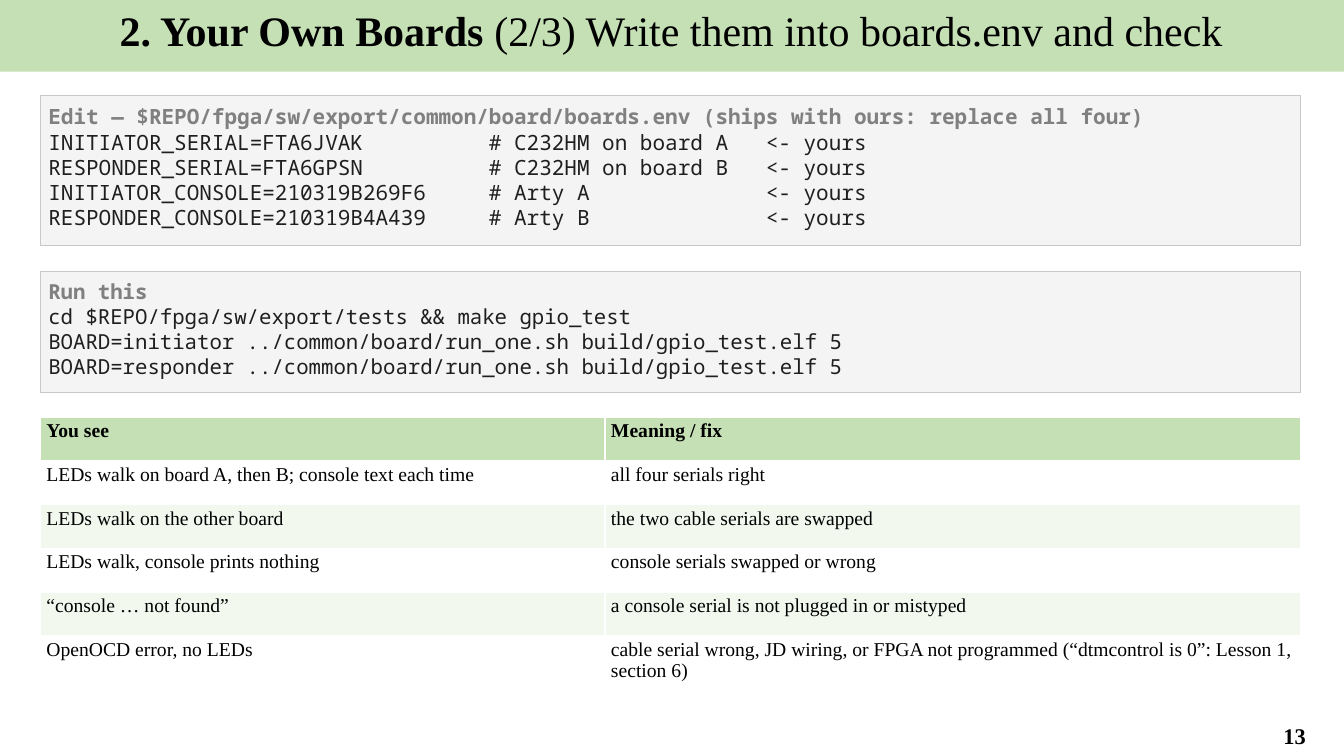
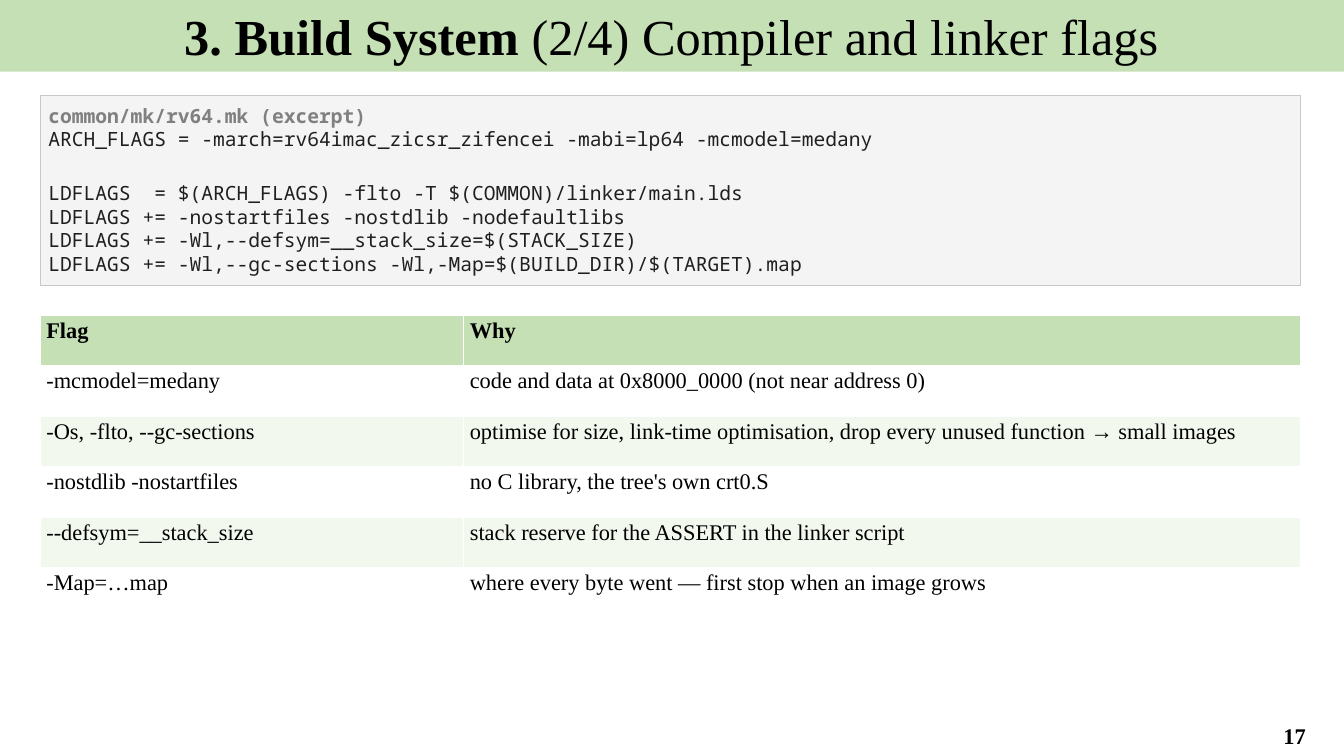
from dataclasses import dataclass

from pptx import Presentation
from pptx.dml.color import RGBColor
from pptx.enum.shapes import MSO_SHAPE
from pptx.enum.text import MSO_ANCHOR, PP_ALIGN
from pptx.util import Inches, Pt

RECTANGLE = MSO_SHAPE.RECTANGLE
TOP, MIDDLE = MSO_ANCHOR.TOP, MSO_ANCHOR.MIDDLE
LEFT, CENTER = PP_ALIGN.LEFT, PP_ALIGN.CENTER


@dataclass(frozen=True)
class Theme:
    """Colours, fonts, type sizes and shared margins."""
    green: str = "C5E0B4"
    pale_green: str = "F2F8EE"
    white: str = "FFFFFF"
    black: str = "000000"
    code_fill: str = "F4F4F4"
    code_line: str = "C8C8C8"
    code_heading: str = "808080"
    code_text: str = "1F1F1F"
    serif: str = "Times New Roman"
    mono: str = "Noto Sans Mono"
    page_size: float = 16
    code_gap: float = 21.6
    left: float = 0.4
    width: float = 12.5


class Lesson:
    def __init__(self, theme):
        self.theme = theme
        self.deck = Presentation()
        self.deck.slide_width = Inches(13.33)
        self.deck.slide_height = Inches(7.5)
        self.page = None

    # Shared helpers
    def style(self, span, size, name, color, bold=False):
        span.font.size = Pt(size)
        span.font.name = name
        span.font.color.rgb = RGBColor.from_string(color)
        span.font.bold = bold

    def paint(self, item, color):
        item.fill.solid()
        item.fill.fore_color.rgb = RGBColor.from_string(color)

    def panel(self, left, top, width, height, color):
        box = self.page.shapes.add_shape(
            RECTANGLE, Inches(left), Inches(top), Inches(width), Inches(height))
        box.shadow.inherit = False
        self.paint(box, color)
        box.text_frame.vertical_anchor = TOP
        return box

    # Slide with its title band and page number
    def add_page(self, section, topic, title_size, number):
        theme = self.theme
        self.page = self.deck.slides.add_slide(self.deck.slide_layouts[6])
        band = self.panel(-0.01, 0, 13.34, 0.71, theme.green)
        band.line.fill.background()
        band.text_frame.word_wrap = True
        para = band.text_frame.paragraphs[0]
        para.alignment = CENTER
        for text, bold in ((section + " ", True), (topic, False)):
            span = para.add_run()
            span.text = text
            self.style(span, title_size, theme.serif, theme.black, bold)

        box = self.page.shapes.add_textbox(
            Inches(12.35), Inches(7.1), Inches(0.98), Inches(0.39))
        box.text_frame.word_wrap = True
        box.text_frame.vertical_anchor = MIDDLE
        box.text_frame.text = str(number)
        para = box.text_frame.paragraphs[0]
        para.alignment = CENTER
        self.style(para.runs[0], theme.page_size, theme.serif, theme.black, True)

    # Code panel: a heading, then groups of lines set apart by a gap
    def add_code(self, top, height, size, heading, *groups):
        theme = self.theme
        box = self.panel(theme.left, top, theme.width, height, theme.code_fill)
        box.line.color.rgb = RGBColor.from_string(theme.code_line)
        box.line.width = Pt(0.75)
        frame = box.text_frame
        frame.word_wrap = False
        frame.margin_left = frame.margin_right = Inches(0.08)
        frame.margin_top = frame.margin_bottom = Inches(0.08)
        blocks = [group.strip().splitlines() for group in groups]
        frame.text = "\n".join([heading] + sum(blocks, []))
        for index, para in enumerate(frame.paragraphs):
            para.alignment = LEFT
            color = theme.code_text if index else theme.code_heading
            self.style(para.runs[0], size, theme.mono, color, index == 0)
        start = 1
        for block in blocks[:-1]:
            start += len(block)
            frame.paragraphs[start].space_before = Pt(theme.code_gap)

    # Two-column table with a green header and striped rows
    def add_table(self, top, height, first_width, size, rows):
        theme = self.theme
        table = self.page.shapes.add_table(
            len(rows), 2, Inches(theme.left), Inches(top),
            Inches(theme.width), Inches(height)).table
        table.horz_banding = False
        table.columns[0].width = Inches(first_width)
        table.columns[1].width = Inches(theme.width - first_width)
        for index, texts in enumerate(rows):
            stripe = theme.white if index % 2 else theme.pale_green
            for cell, text in zip(table.rows[index].cells, texts):
                self.paint(cell, stripe if index else theme.green)
                cell.margin_left = cell.margin_right = Inches(0.06)
                cell.margin_top = cell.margin_bottom = Inches(0.03)
                cell.text = text
                span = cell.text_frame.paragraphs[0].runs[0]
                self.style(span, size, theme.serif, theme.black, index == 0)


def main():
    lesson = Lesson(Theme())

    # Board serials
    lesson.add_page("2. Your Own Boards",
                    "(2/3) Write them into boards.env and check", 30, 13)
    lesson.add_code(
        0.95, 1.49, 15,
        "Edit — $REPO/fpga/sw/export/common/board/boards.env"
        " (ships with ours: replace all four)",
        """
INITIATOR_SERIAL=FTA6JVAK          # C232HM on board A   <- yours
RESPONDER_SERIAL=FTA6GPSN          # C232HM on board B   <- yours
INITIATOR_CONSOLE=210319B269F6     # Arty A              <- yours
RESPONDER_CONSOLE=210319B4A439     # Arty B              <- yours
""")
    lesson.add_code(2.69, 1.2, 14.8, "Run this", """
cd $REPO/fpga/sw/export/tests && make gpio_test
BOARD=initiator ../common/board/run_one.sh build/gpio_test.elf 5
BOARD=responder ../common/board/run_one.sh build/gpio_test.elf 5
""")
    lesson.add_table(4.14, 2.6, 5.6, 14, [
        ("You see", "Meaning / fix"),
        ("LEDs walk on board A, then B; console text each time",
         "all four serials right"),
        ("LEDs walk on the other board", "the two cable serials are swapped"),
        ("LEDs walk, console prints nothing", "console serials swapped or wrong"),
        ("“console … not found”",
         "a console serial is not plugged in or mistyped"),
        ("OpenOCD error, no LEDs",
         "cable serial wrong, JD wiring, or FPGA not programmed"
         " (“dtmcontrol is 0”: Lesson 1, section 6)"),
    ])

    # Build flags
    lesson.add_page("3. Build System", "(2/4) Compiler and linker flags", 36, 17)
    lesson.add_code(
        0.95, 1.88, 14, "common/mk/rv64.mk (excerpt)",
        "ARCH_FLAGS = -march=rv64imac_zicsr_zifencei -mabi=lp64 -mcmodel=medany",
        """
LDFLAGS  = $(ARCH_FLAGS) -flto -T $(COMMON)/linker/main.lds
LDFLAGS += -nostartfiles -nostdlib -nodefaultlibs
LDFLAGS += -Wl,--defsym=__stack_size=$(STACK_SIZE)
LDFLAGS += -Wl,--gc-sections -Wl,-Map=$(BUILD_DIR)/$(TARGET).map
""")
    lesson.add_table(3.13, 3, 4.2, 16, [
        ("Flag", "Why"),
        ("-mcmodel=medany", "code and data at 0x8000_0000 (not near address 0)"),
        ("-Os, -flto, --gc-sections",
         "optimise for size, link-time optimisation,"
         " drop every unused function → small images"),
        ("-nostdlib -nostartfiles", "no C library, the tree's own crt0.S"),
        ("--defsym=__stack_size",
         "stack reserve for the ASSERT in the linker script"),
        ("-Map=…map", "where every byte went — first stop when an image grows"),
    ])

    lesson.deck.save("out.pptx")


if __name__ == "__main__":
    main()
